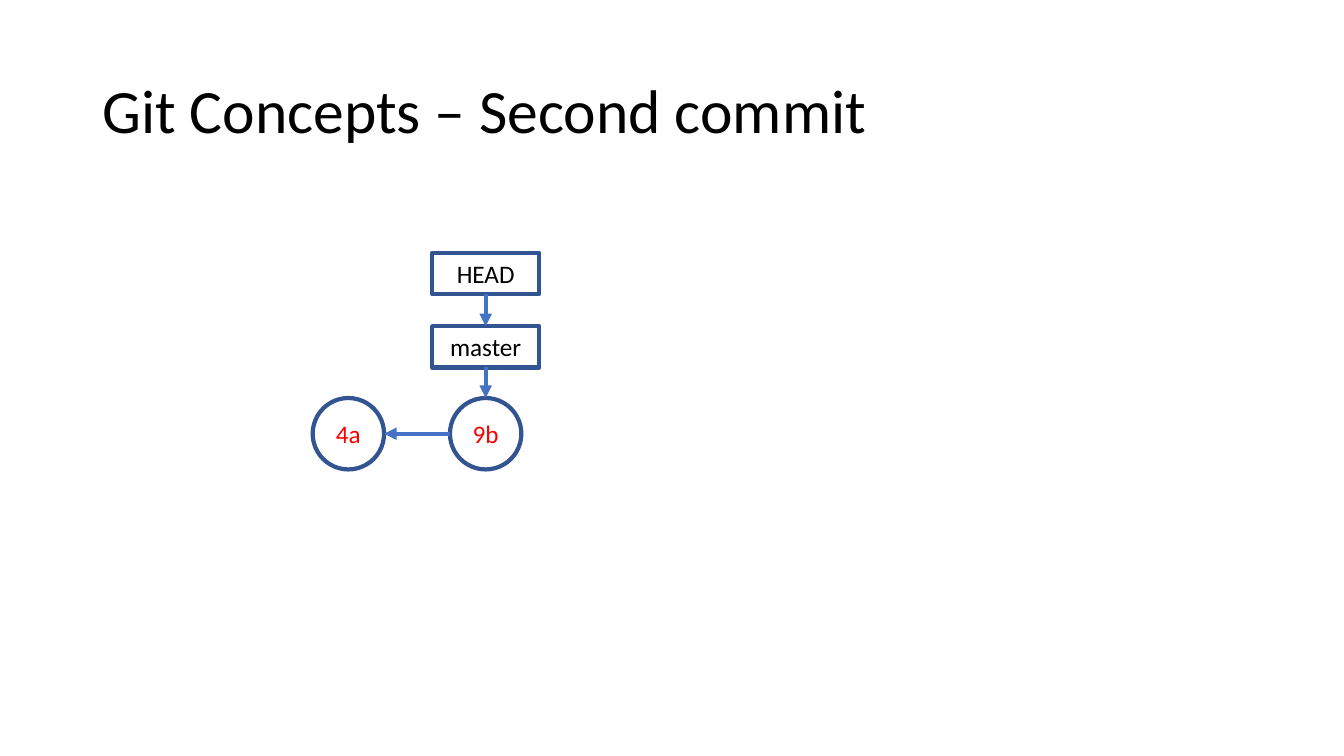
"""Build a slide showing the Git references and history after a second commit."""
from dataclasses import dataclass

from lxml import etree
from pptx import Presentation
from pptx import util as u
from pptx.dml.color import RGBColor
from pptx.enum import shapes, text
from pptx.oxml import ns


@dataclass(frozen=True)
class Theme:
    font: str = "Calibri"
    title_size: int = 44
    label_size: int = 18
    line_width: int = 3
    black: RGBColor = RGBColor(0x00, 0x00, 0x00)
    commit_text: RGBColor = RGBColor(0xFF, 0x00, 0x00)
    outline: RGBColor = RGBColor(0x32, 0x54, 0x91)
    arrow: RGBColor = RGBColor(0x44, 0x72, 0xC4)


@dataclass(frozen=True)
class Node:
    label: str
    kind: shapes.MSO_SHAPE
    center_x: float
    top: float
    width: float
    height: float
    color: RGBColor


THEME = Theme()
BRANCH_X, PARENT_X = 12.24, 8.78
REFERENCE_TOP, REFERENCE_STEP = 6.37, 1.85
REFERENCE_WIDTH, REFERENCE_HEIGHT = 2.7, 1.04
COMMIT_TOP, COMMIT_SIZE = 10.03, 1.8


def reference(label: str, row: int) -> Node:
    return Node(label, shapes.MSO_SHAPE.RECTANGLE, BRANCH_X, REFERENCE_TOP + row * REFERENCE_STEP,
                REFERENCE_WIDTH, REFERENCE_HEIGHT, THEME.black)


def commit(label: str, center_x: float) -> Node:
    return Node(label, shapes.MSO_SHAPE.OVAL, center_x, COMMIT_TOP,
                COMMIT_SIZE, COMMIT_SIZE, THEME.commit_text)


def format_text(frame, size: int, color: RGBColor, alignment) -> None:
    frame.vertical_anchor = text.MSO_ANCHOR.MIDDLE
    for paragraph in frame.paragraphs:
        paragraph.alignment = alignment
        for run in paragraph.runs:
            run.font.name = THEME.font
            run.font.size = u.Pt(size)
            run.font.color.rgb = color


def add_title(slide, title: str) -> None:
    shape = slide.shapes.title
    shape.left, shape.top = u.Cm(2.33), u.Cm(1.01)
    shape.width, shape.height = u.Cm(29.21), u.Cm(3.68)
    frame = shape.text_frame
    frame.text = title
    frame.auto_size = text.MSO_AUTO_SIZE.NONE
    frame.paragraphs[0].line_spacing = 0.9
    format_text(frame, THEME.title_size, THEME.black, text.PP_ALIGN.LEFT)


def add_node(slide, node: Node):
    shape = slide.shapes.add_shape(node.kind, u.Cm(node.center_x - node.width / 2), u.Cm(node.top),
                                   u.Cm(node.width), u.Cm(node.height))
    shape.shadow.inherit = False
    shape.fill.background()
    shape.line.color.rgb = THEME.outline
    shape.line.width = u.Pt(THEME.line_width)
    shape.text_frame.text = node.label
    shape.text_frame.word_wrap = False
    format_text(shape.text_frame, THEME.label_size, node.color, text.PP_ALIGN.CENTER)
    return shape


def add_arrow(slide, start_x: int, start_y: int, end_x: int, end_y: int):
    arrow = slide.shapes.add_connector(shapes.MSO_CONNECTOR.STRAIGHT, start_x, start_y, end_x, end_y)
    arrow.line.color.rgb = THEME.arrow
    arrow.line.width = u.Pt(THEME.line_width)
    etree.SubElement(arrow.line._get_or_add_ln(), ns.qn("a:tailEnd"), type="triangle")
    etree.SubElement(arrow._element.spPr, ns.qn("a:effectLst"))
    return arrow


def point_down(slide, upper, lower) -> None:
    middle = upper.left + upper.width // 2
    arrow = add_arrow(slide, middle, upper.top + upper.height, middle, lower.top)
    arrow.begin_connect(upper, 2)
    arrow.end_connect(lower, 0)


def point_left(slide, child, parent) -> None:
    middle = child.top + child.height // 2
    add_arrow(slide, child.left, middle, parent.left + parent.width, middle)


def main() -> None:
    presentation = Presentation()
    presentation.slide_width, presentation.slide_height = u.Cm(33.87), u.Cm(19.05)
    slide = presentation.slides.add_slide(presentation.slide_layouts.get_by_name("Title Only"))
    add_title(slide, "Git Concepts – Second commit")

    nodes = (commit("9b", BRANCH_X), commit("4a", PARENT_X), reference("HEAD", 0), reference("master", 1))
    second, first, head, master = [add_node(slide, node) for node in nodes]
    point_left(slide, second, first)
    point_down(slide, head, master)
    point_down(slide, master, second)
    presentation.save("out.pptx")


if __name__ == "__main__":
    main()
